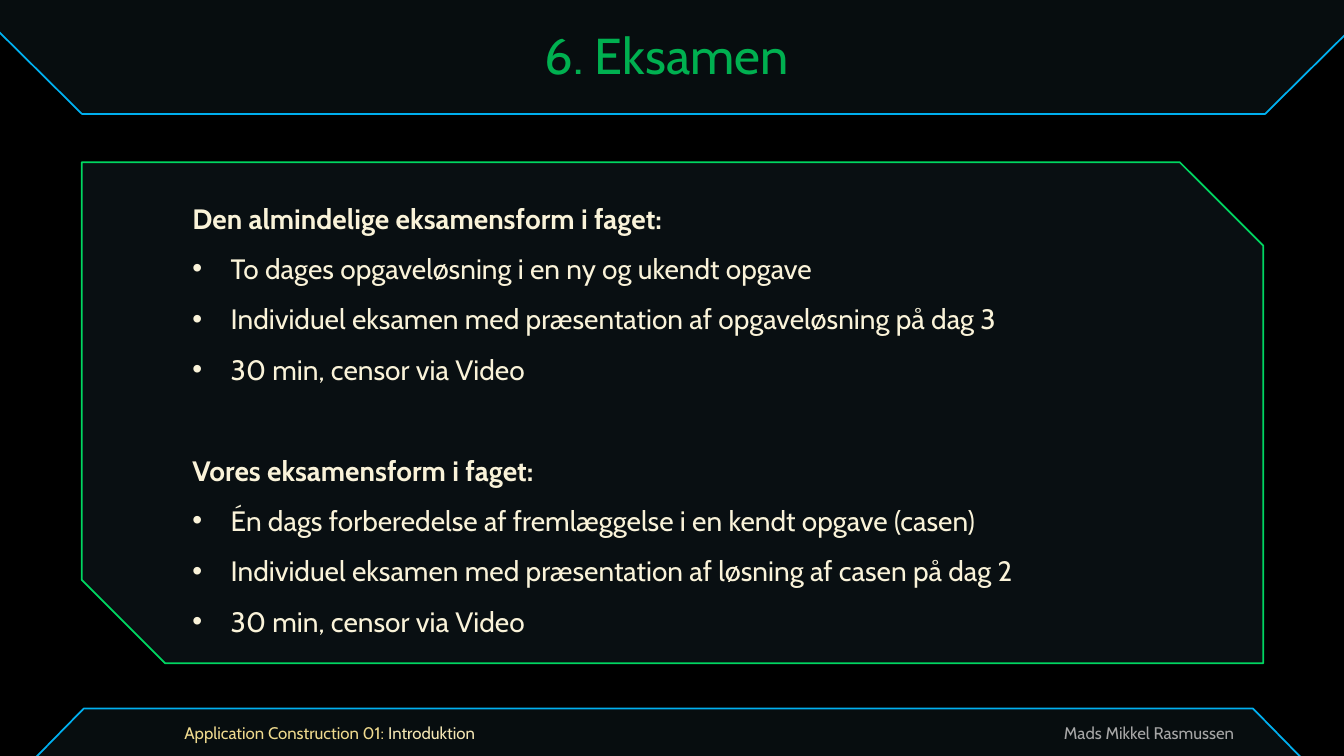
from lxml.etree import SubElement as Sub
from pptx import Presentation
from pptx.dml.color import RGBColor as Color
from pptx.enum.shapes import MSO_SHAPE as Shape
from pptx.enum.text import MSO_ANCHOR as Anchor, MSO_AUTO_SIZE as Fit, PP_ALIGN as Align
from pptx.oxml.ns import qn
from pptx.util import Inches, Pt

BLACK = Color(0x00, 0x00, 0x00)
ICE = Color(0x85, 0xDF, 0xFF)
BLUE = Color(0x00, 0xB0, 0xF0)
LIME = Color(0x00, 0xD6, 0x61)
GREEN = Color(0x00, 0xB0, 0x50)
GREY = Color(0xA6, 0xA6, 0xA6)
GOLD = Color(0xEF, 0xDA, 0x8E)
SAND = Color(0xF5, 0xE7, 0xB4)
CREAM = Color(0xFA, 0xF3, 0xD9)

FONT = "Cabin"
TITLE = "6. Eksamen"
AUTHOR = "Mads Mikkel Rasmussen"
COURSE = [("Application Construction 01: ", GOLD), ("Introduktion", SAND)]
EXAMS = [
    ("Den almindelige eksamensform i faget:", [
        "To dages opgaveløsning i en ny og ukendt opgave",
        "Individuel eksamen med præsentation af opgaveløsning på dag 3",
        "30 min, censor via Video",
    ]),
    ("Vores eksamensform i faget:", [
        "Én dags forberedelse af fremlæggelse i en kendt opgave (casen)",
        "Individuel eksamen med præsentation af løsning af casen på dag 2",
        "30 min, censor via Video",
    ]),
]

# Boxes hold left, top, width and height in percent of the slide.
PANELS = [
    (Shape.TRAPEZOID, (2.7, 93.73, 94.07, 6.4), 0, 0.98, 6, BLUE),
    (Shape.TRAPEZOID, (-3.68, -2.13, 107.58, 17.2), 180, 1.01, 6, BLUE),
    (Shape.SNIP_2_DIAG_RECTANGLE, (6.08, 21.47, 87.92, 66.27), 0, None, 7, LIME),
]
TITLE_BOX = (6.6, 2.13, 85.97, 10.13)
AUTHOR_BOX = (77.42, 94.93, 15.15, 4)
COURSE_BOX = (12.98, 94.93, 63.32, 4)
BODY_BOX = (13.58, 23.73, 72.84, 61.07)
INDENT = Inches(0.38)

deck = Presentation()
deck.slide_width, deck.slide_height = Inches(13.33), Inches(7.5)
slide = deck.slides.add_slide(deck.slide_layouts[5])
slide.background.fill.solid()
slide.background.fill.fore_color.rgb = BLACK


def place(box):
    sides = (deck.slide_width, deck.slide_height) * 2
    return [round(side * part / 100) for side, part in zip(sides, box)]


def add_panel(kind, box, turn, slant, tint, edge):
    panel = slide.shapes.add_shape(kind, *place(box))
    panel.shadow.inherit = False
    panel.rotation = turn
    if slant:
        panel.adjustments[0] = slant
    panel.fill.solid()
    panel.fill.fore_color.rgb = ICE
    hue = panel.fill._xPr.find(".//" + qn("a:srgbClr"))
    Sub(hue, qn("a:alpha"), val=str(tint * 1000))
    panel.line.color.rgb = edge
    panel.line.width = Pt(1.25)


def add_frame(box):
    frame = slide.shapes.add_textbox(*place(box)).text_frame
    frame.word_wrap = True
    frame.auto_size = Fit.SHAPE_TO_FIT_TEXT
    return frame


def write(para, text, size=12, color=CREAM, bold=False, align=Align.LEFT,
          lead=None, before=0, bullet=False):
    para.alignment = align
    para.space_before = Pt(before)
    if lead:
        para.line_spacing = lead
    if bullet:
        props = para._p.get_or_add_pPr()
        props.set("marL", str(INDENT))
        props.set("indent", str(-INDENT))
        Sub(props, qn("a:buFont"), typeface="Arial")
        Sub(props, qn("a:buChar"), char="•")
    run = para.add_run()
    run.text = text
    run.font.name, run.font.size, run.font.bold = FONT, Pt(size), bold
    run.font.color.rgb = color


for panel in PANELS:
    add_panel(*panel)

title = slide.shapes.title
title.left, title.top, title.width, title.height = place(TITLE_BOX)
title.text_frame.vertical_anchor = Anchor.MIDDLE
write(title.text_frame.paragraphs[0], TITLE, size=36, color=GREEN, align=Align.CENTER)
slide.shapes._spTree.append(title._element)

write(add_frame(AUTHOR_BOX).paragraphs[0], AUTHOR, color=GREY, align=Align.RIGHT)
course = add_frame(COURSE_BOX).paragraphs[0]
for text, color in COURSE:
    write(course, text, color=color)

body = add_frame(BODY_BOX)
for rank, (head, points) in enumerate(EXAMS):
    para = body.add_paragraph() if rank else body.paragraphs[0]
    write(para, head, size=20, bold=True, lead=1.5, before=36 * rank)
    for point in points:
        write(body.add_paragraph(), point, size=20, lead=1.5, bullet=True)

deck.save("out.pptx")
